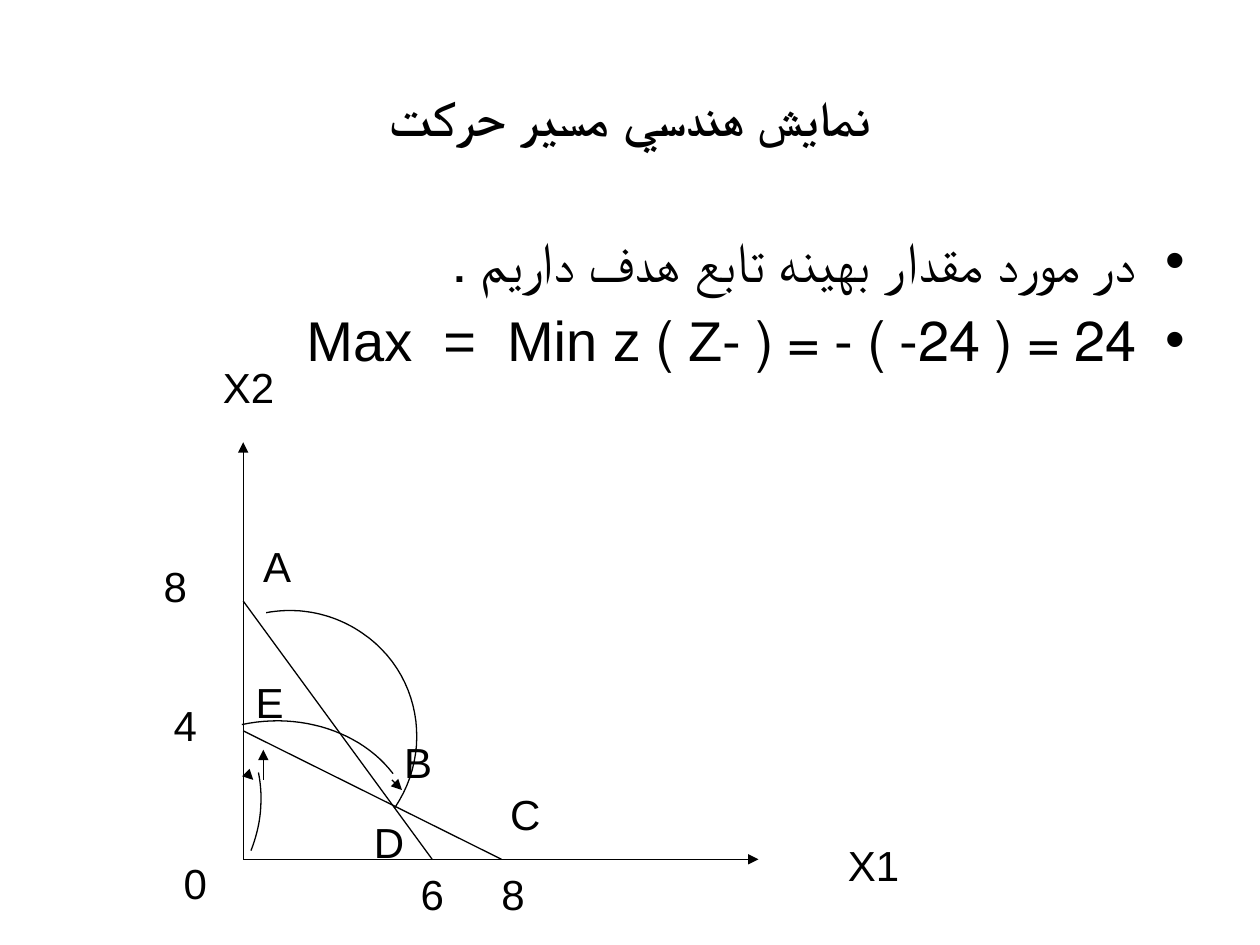
"""Build a slide on the geometric path of the simplex method."""
import math
import lxml.etree
import pptx
import pptx.dml.color
import pptx.enum.shapes
import pptx.enum.text
import pptx.oxml.ns
import pptx.util

Inches, Pt = pptx.util.Inches, pptx.util.Pt
ALIGN = pptx.enum.text.PP_ALIGN
ANCHOR = pptx.enum.text.MSO_ANCHOR

THEME = {
    "ink": pptx.dml.color.RGBColor(0, 0, 0),
    "font": "Arial",
    "title": 28,
    "body": 32,
    "label": 24,
    "line": 0.75,
}

TITLE = "نمايش هندسي مسير حركت"
POINTS = [
    "در مورد مقدار بهينه تابع هدف داريم . ",
    "24 = ( 24- ) - = ( -Z ) Max  =  Min z",
]
ZERO = (1.93, 6.82)
AXES = [(ZERO, (1.93, 3.51)), (ZERO, (6.02, 6.82))]
BOUNDS = [((1.93, 5.8), (3.98, 6.82)), ((1.93, 4.77), (3.43, 6.82))]
HEADS = [
    ((3.11, 6.19), (3.19, 6.27)),
    ((2.0, 6.18), (2.01, 6.19)),
    ((2.09, 6.19), (2.09, 5.95)),
]
LABELS = [
    ("X2", 1.67, 2.82, 0.61),
    ("X1", 6.63, 6.61, 0.61),
    ("A", 1.99, 4.24, 0.42),
    ("8", 1.2, 4.4, 0.39),
    ("4", 1.28, 5.5, 0.39),
    ("B", 3.11, 5.8, 0.42),
    ("E", 1.93, 5.32, 0.42),
    ("C", 3.95, 6.21, 0.44),
    ("D", 2.87, 6.43, 0.44),
    ("0", 1.36, 6.76, 0.39),
    ("6", 3.24, 6.84, 0.39),
    ("8", 3.88, 6.84, 0.39),
]
CURVES = [
    {"turn": 41.5, "mid": (1.7, 6.36), "hub": (1.07, 6.35),
     "knots": [(2.05, 6.13), (2.09, 6.34), (2.07, 6.55), (1.99, 6.75)]},
    {"turn": 348.5, "mid": (2.55, 6.13), "hub": (2.11, 6.73),
     "knots": [(1.92, 5.75), (2.39, 5.65), (2.87, 5.81), (3.12, 6.14)]},
    {"turn": 34.4, "mid": (2.71, 5.51), "hub": (2.31, 5.84),
     "knots": [(2.11, 4.86), (2.38, 4.81), (2.65, 4.87), (2.87, 5.02),
               (3.33, 5.33), (3.44, 5.95), (3.13, 6.41)]},
]
STEPS = 24


def add_tag(node, name, **attrs):
    return lxml.etree.SubElement(node, pptx.oxml.ns.qn(name), attrs)


def write(frame, lines, size, bold=False, align=ALIGN.LEFT,
          anchor=ANCHOR.TOP, wrap=True, bullet=False):
    frame.word_wrap = wrap
    frame.vertical_anchor = anchor
    for i, line in enumerate(lines):
        para = frame.add_paragraph() if i else frame.paragraphs[0]
        para.alignment = align
        run = para.add_run()
        run.text = line
        font = run.font
        font.size, font.bold, font.name = Pt(size), bold, THEME["font"]
        font.color.rgb = THEME["ink"]
        if bullet:
            para.space_before = Pt(size * 0.2)
            props = para._p.get_or_add_pPr()
            dent = Inches(0.38)
            props.set("marL", str(dent))
            props.set("indent", str(-dent))
            props.set("rtl", "1")
            add_tag(props, "a:buFont", typeface=THEME["font"])
            add_tag(props, "a:buChar", char="•")


def ink(line):
    line.color.rgb = THEME["ink"]
    line.width = Pt(THEME["line"])


def draw_line(shapes, start, end, head=False):
    kind = pptx.enum.shapes.MSO_CONNECTOR.STRAIGHT
    line = shapes.add_connector(kind, *map(Inches, start + end))
    ink(line.line)
    props = line._element.spPr
    if head:
        add_tag(props.find(pptx.oxml.ns.qn("a:ln")), "a:tailEnd", type="triangle")
    add_tag(props, "a:effectLst")


def bend(knots, t):
    while len(knots) > 1:
        knots = [tuple(a + (b - a) * t for a, b in zip(p, q))
                 for p, q in zip(knots, knots[1:])]
    return knots[0]


def unturn(point, mid, turn):
    angle = math.radians(turn)
    x, y = point[0] - mid[0], point[1] - mid[1]
    return (Inches(mid[0] + x * math.cos(angle) + y * math.sin(angle)),
            Inches(mid[1] - x * math.sin(angle) + y * math.cos(angle)))


def draw_curve(shapes, turn, mid, hub, knots):
    dots = [bend(knots[i:i + 4], n / STEPS)
            for i in range(0, len(knots) - 1, 3) for n in range(1, STEPS + 1)]
    start, *rest = [unturn(dot, mid, turn) for dot in [knots[0]] + dots]
    pen = shapes.build_freeform(*start)
    pen.add_line_segments(rest, close=False)
    pen.move_to(*unturn(hub, mid, turn))
    curve = pen.convert_to_shape()
    curve.rotation = turn
    curve.fill.background()
    curve.shadow.inherit = False
    ink(curve.line)


def main():
    deck = pptx.Presentation()
    deck.slide_width, deck.slide_height = Inches(10), Inches(7.5)
    slide = deck.slides.add_slide(deck.slide_layouts[5])
    shapes = slide.shapes

    title = shapes.title
    title.left, title.top = Inches(0.5), Inches(0.3)
    title.width, title.height = Inches(9), Inches(1.25)
    write(title.text_frame, [TITLE], THEME["title"], bold=True,
          align=ALIGN.CENTER, anchor=ANCHOR.MIDDLE)

    body = shapes.add_textbox(*map(Inches, (0.5, 1.75, 9, 4.95)))
    write(body.text_frame, POINTS, THEME["body"], align=ALIGN.RIGHT, bullet=True)

    for start, end in AXES:
        draw_line(shapes, start, end, head=True)
    for start, end in BOUNDS:
        draw_line(shapes, start, end)
    for label, left, top, width in LABELS:
        box = shapes.add_textbox(*map(Inches, (left, top, width, 0.5)))
        write(box.text_frame, [label], THEME["label"], wrap=False)
        box.text_frame.auto_size = pptx.enum.text.MSO_AUTO_SIZE.SHAPE_TO_FIT_TEXT
    for curve in CURVES:
        draw_curve(shapes, **curve)
    for start, end in HEADS:
        draw_line(shapes, start, end, head=True)

    deck.save("out.pptx")


if __name__ == "__main__":
    main()
